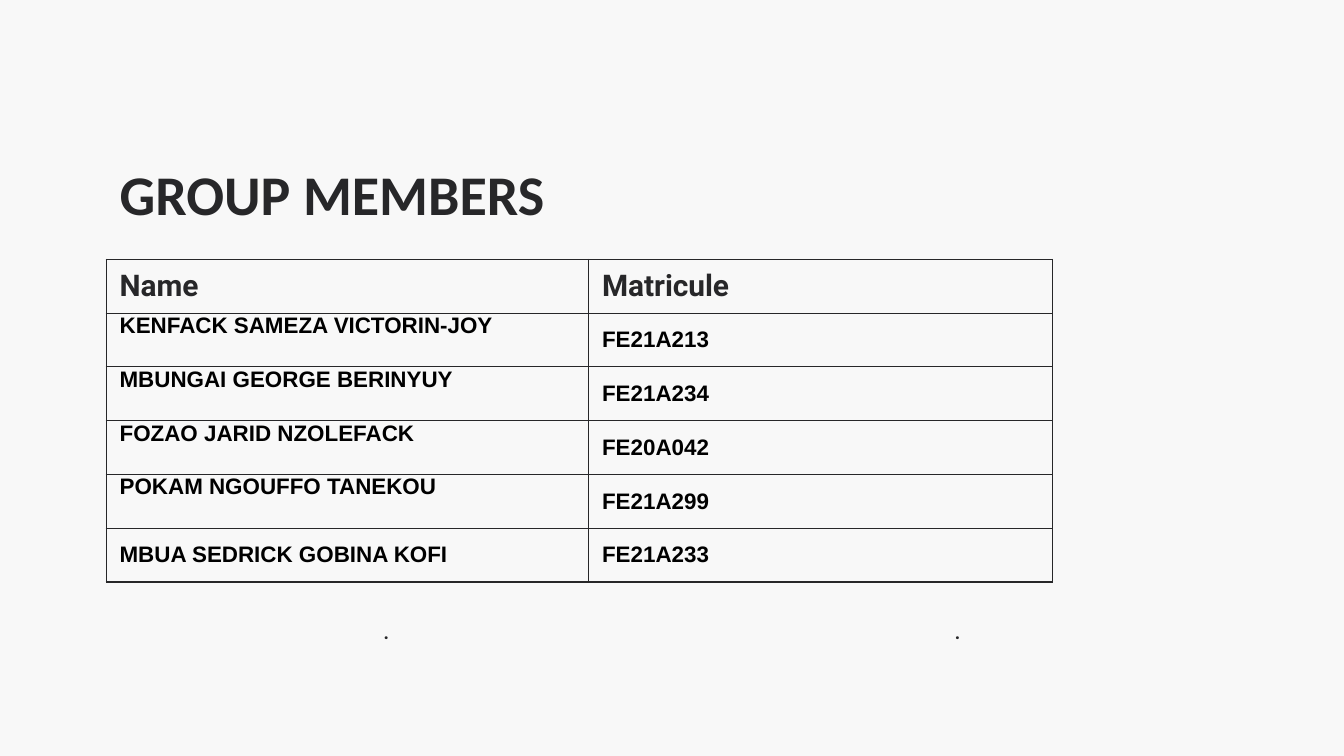
import pptx
import pptx.dml.color
import pptx.enum.text
import pptx.oxml
import pptx.oxml.ns
import pptx.util
from pptx.util import Inches

# Content
TITLE = "GROUP MEMBERS"
HEADER = ("Name", "Matricule")
MEMBERS = [
    ("KENFACK SAMEZA VICTORIN-JOY", "FE21A213"),
    ("MBUNGAI GEORGE BERINYUY", "FE21A234"),
    ("FOZAO JARID NZOLEFACK", "FE20A042"),
    ("POKAM NGOUFFO TANEKOU", "FE21A299"),
    ("MBUA SEDRICK GOBINA KOFI", "FE21A233"),
]
DOT_LEFTS = (1.05, 5.3)

# Layout and colours
COLUMN_WIDTHS = (3.59, 3.45)
ROW_HEIGHT = 0.4
INK, BLACK, PAPER = "272729", "000000", "F8F8F8"
ANCHOR = pptx.enum.text.MSO_ANCHOR
ALIGN = pptx.enum.text.PP_ALIGN


def colour(value):
    return pptx.dml.color.RGBColor.from_string(value)


def write(frame, text, size, font, ink, align=ALIGN.LEFT):
    para = frame.paragraphs[0]
    para.alignment = align
    span = para.add_run()
    span.text = text
    span.font.size = pptx.util.Pt(size)
    span.font.name = font
    span.font.bold = True
    span.font.color.rgb = colour(ink)


def set_frame(frame):
    frame.word_wrap = True
    frame.auto_size = pptx.enum.text.MSO_AUTO_SIZE.NONE
    frame.vertical_anchor = ANCHOR.TOP
    frame.margin_left = frame.margin_right = Inches(0.1)
    frame.margin_top = frame.margin_bottom = Inches(0.1)


def add_borders(cell):
    properties = cell._tc.get_or_add_tcPr()
    for position, side in enumerate(("lnL", "lnR", "lnT", "lnB")):
        properties.insert(position, pptx.oxml.parse_xml(
            f'<a:{side} {pptx.oxml.ns.nsdecls("a")} w="9525"><a:solidFill>'
            f'<a:srgbClr val="{INK}"/></a:solidFill></a:{side}>'))


# Page in 16:9
deck = pptx.Presentation()
deck.slide_width = Inches(10)
deck.slide_height = deck.slide_width * 9 // 16
page = deck.slides.add_slide(deck.slide_layouts[5])
page.background.fill.solid()
page.background.fill.fore_color.rgb = colour(PAPER)

# Title
title = page.shapes.title
title.left, title.top = Inches(0.79), Inches(1.09)
title.width, title.height = Inches(8.43), Inches(0.63)
set_frame(title.text_frame)
write(title.text_frame, TITLE, 30, "Calibri", INK)

# Member table
rows = [HEADER] + MEMBERS
table = page.shapes.add_table(
    len(rows), len(HEADER), Inches(0.79), Inches(1.93),
    Inches(sum(COLUMN_WIDTHS)), Inches(ROW_HEIGHT * len(rows))).table
table.horz_banding = False
for column, width in zip(table.columns, COLUMN_WIDTHS):
    column.width = Inches(width)
for row_index, row in enumerate(rows):
    table.rows[row_index].height = Inches(ROW_HEIGHT)
    style = (16, "Roboto", INK) if row_index == 0 else (12, "Arial", BLACK)
    for column_index, text in enumerate(row):
        cell = table.cell(row_index, column_index)
        cell.fill.background()
        cell.margin_left = cell.margin_right = Inches(0.1)
        cell.margin_top = cell.margin_bottom = 0
        # Names between the header and the last row sit at the top
        high = column_index == 0 and 0 < row_index < len(rows) - 1
        cell.vertical_anchor = ANCHOR.TOP if high else ANCHOR.MIDDLE
        write(cell.text_frame, text, *style)
        add_borders(cell)

# Dots below the table
for left in DOT_LEFTS:
    box = page.shapes.add_textbox(
        Inches(left), Inches(4.52), Inches(3.65), Inches(0.5))
    set_frame(box.text_frame)
    write(box.text_frame, ".", 10, "Roboto", INK, ALIGN.CENTER)

deck.save("out.pptx")
